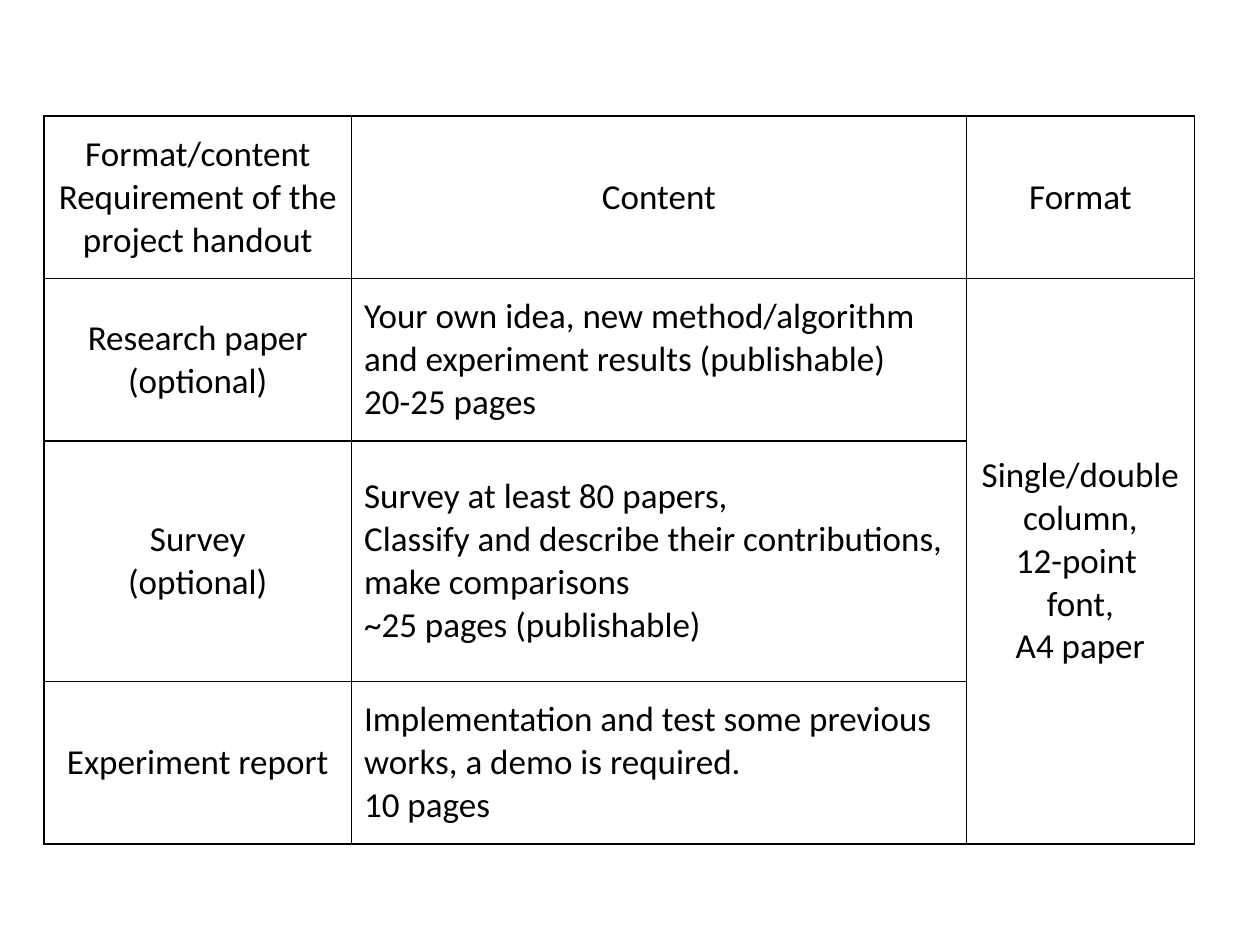
from lxml.etree import SubElement
from pptx import Presentation
from pptx.dml.color import RGBColor
from pptx.enum.text import MSO_ANCHOR as Anchor, PP_ALIGN as Align
from pptx.oxml.ns import qn
from pptx.util import Inches, Pt

THEME = {
    "font": "Calibri",
    "size": Pt(20),
    "ink": "000000",
    "border": Pt(1),
}
COLUMN_WIDTHS = [2.44, 4.88, 1.81]
ROW_HEIGHTS = [1.29, 1.29, 1.91, 1.29]
ROWS = [
    ["Format/content Requirement of the project handout", "Content", "Format"],
    [
        "Research paper (optional)",
        "Your own idea, new method/algorithm and experiment results (publishable)\n20-25 pages",
        "Single/double column,\n12-point  font,\nA4 paper",
    ],
    [
        "Survey\n(optional)",
        "Survey at least 80 papers,\n"
        "Classify and describe their contributions, make comparisons\n"
        "~25 pages (publishable)",
        "",
    ],
    [
        "Experiment report",
        "Implementation and test some previous works, a demo is required.\n10 pages",
        "",
    ],
]


def add_borders(cell):
    properties = cell._tc.get_or_add_tcPr()
    for position, side in enumerate(("a:lnL", "a:lnR", "a:lnT", "a:lnB")):
        line = properties.makeelement(qn(side), {"w": str(THEME["border"])})
        fill = SubElement(line, qn("a:solidFill"))
        SubElement(fill, qn("a:srgbClr"), val=THEME["ink"])
        properties.insert(position, line)


presentation = Presentation()
presentation.slide_width = Inches(10)
presentation.slide_height = Inches(7.5)
slide = presentation.slides.add_slide(presentation.slide_layouts[6])

table = slide.shapes.add_table(
    len(ROW_HEIGHTS), len(COLUMN_WIDTHS),
    Inches(0.35), Inches(0.92), Inches(sum(COLUMN_WIDTHS)), Inches(sum(ROW_HEIGHTS)),
).table
table.first_row = False
table.horz_banding = False
for column, width in zip(table.columns, COLUMN_WIDTHS):
    column.width = Inches(width)
for row, height in zip(table.rows, ROW_HEIGHTS):
    row.height = Inches(height)
table.cell(1, 2).merge(table.cell(3, 2))

for row_index, texts in enumerate(ROWS):
    for column_index, text in enumerate(texts):
        cell = table.cell(row_index, column_index)
        cell.fill.background()
        add_borders(cell)
        if cell.is_spanned:
            continue
        cell.vertical_anchor = Anchor.MIDDLE
        cell.text_frame.text = text
        is_description = row_index > 0 and column_index == 1
        for paragraph in cell.text_frame.paragraphs:
            paragraph.alignment = Align.LEFT if is_description else Align.CENTER
            for run in paragraph.runs:
                run.font.name = THEME["font"]
                run.font.size = THEME["size"]
                run.font.color.rgb = RGBColor.from_string(THEME["ink"])

presentation.save("out.pptx")
